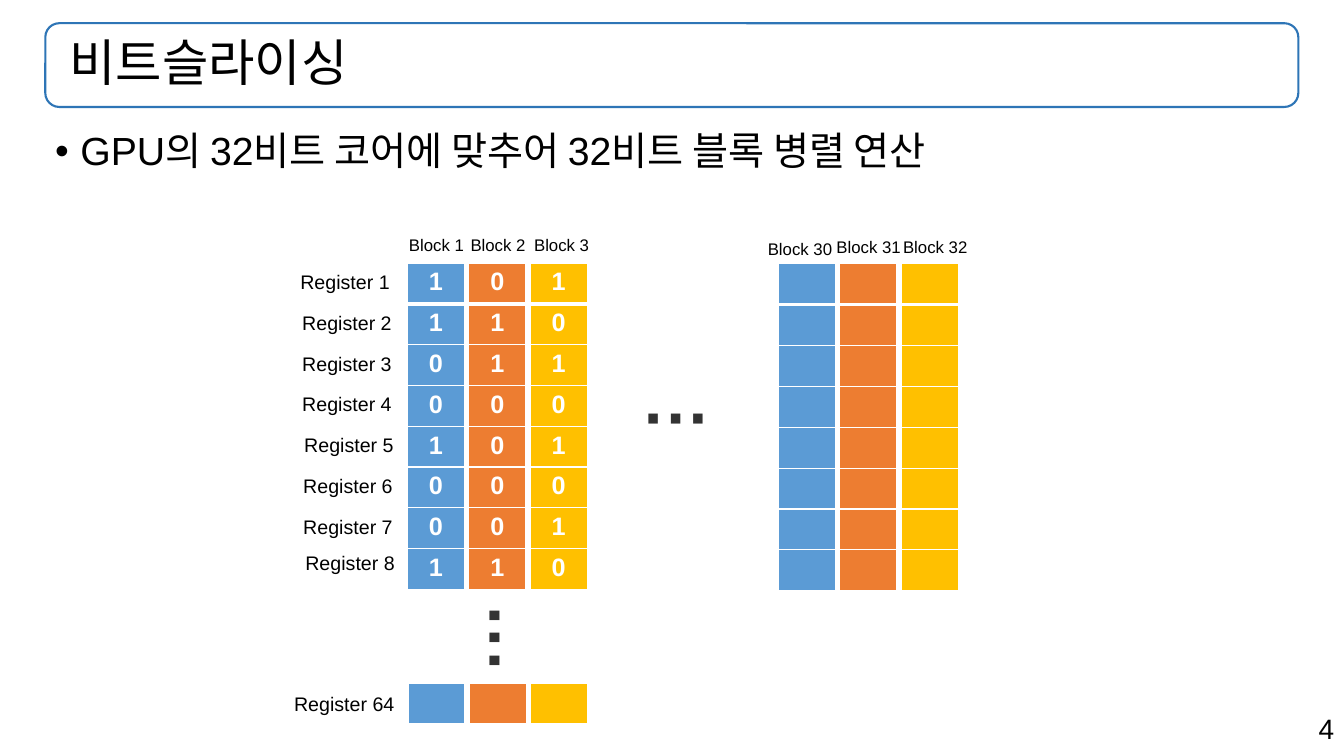
from lxml import etree
from pptx import Presentation
from pptx.dml.color import RGBColor
from pptx.enum.shapes import MSO_SHAPE
from pptx.enum.text import MSO_ANCHOR, MSO_AUTO_SIZE, PP_ALIGN
from pptx.oxml.ns import qn
from pptx.util import Pt

ROUNDED = MSO_SHAPE.ROUNDED_RECTANGLE
LEFT, CENTER, RIGHT = PP_ALIGN.LEFT, PP_ALIGN.CENTER, PP_ALIGN.RIGHT
MIDDLE = MSO_ANCHOR.MIDDLE
FIT_SHAPE, NO_FIT = MSO_AUTO_SIZE.SHAPE_TO_FIT_TEXT, MSO_AUTO_SIZE.NONE
TITLE_ONLY = 5

FONT = "Arial"
BLACK, WHITE, DOTS, FRAME = "000000", "FFFFFF", "333333", "2E75B6"
BLOCK_COLORS = ["5B9BD5", "ED7D31", "FFC000"]
BLOCK_BITS = ["11001001", "01100001", "10101010"]
REGISTERS = 8
COLUMN_WIDTH, ROW_HEIGHT, COLUMN_PITCH = 40.8, 29.16, 43.9
TABLE_TOP, LAST_ROW_TOP = 187.9, 488.2
TITLE_BOX = (32.4, 16.6, 895, 59.8)
BLOCK_LABELS = [
    ("Block 1", 285, 164, 60), ("Block 2", 329, 164, 60), ("Block 3", 374.4, 164, 60),
    ("Block 30", 541.4, 167, 72), ("Block 31", 590.4, 165.6, 72), ("Block 32", 638, 165.6, 64),
]
REGISTER_LEFTS = [207.4, 208.8, 208.8, 208.8, 210.2, 209.5, 209.5, 211]


def rgb(color):
    return RGBColor.from_string(color)


def write_text(paragraph, text, size=14, color=BLACK, bold=False, align=LEFT, spacing=None):
    paragraph.alignment = align
    if spacing:
        paragraph.line_spacing = spacing
    run = paragraph.add_run()
    run.text = text
    font = run.font
    font.name, font.size, font.bold = FONT, Pt(size), bold
    font.color.rgb = rgb(color)


def add_text(slide, text, left, top, width, height, wrap=True, fit=FIT_SHAPE, rotation=0, **text_format):
    shape = slide.shapes.add_textbox(Pt(left), Pt(top), Pt(width), Pt(height))
    shape.rotation = rotation
    shape.text_frame.word_wrap = wrap
    shape.text_frame.auto_size = fit
    paragraph = shape.text_frame.paragraphs[0]
    write_text(paragraph, text, **text_format)
    return paragraph


def add_bullet(paragraph, indent):
    properties = paragraph._p.get_or_add_pPr()
    properties.set("marL", str(Pt(indent)))
    properties.set("indent", str(-Pt(indent)))
    etree.SubElement(properties, qn("a:buFont"), typeface=FONT)
    etree.SubElement(properties, qn("a:buChar"), char="•")


def add_borders(cell, bottom_width):
    properties = cell._tc.get_or_add_tcPr()
    widths = {"a:lnL": 1, "a:lnR": 1, "a:lnT": 1, "a:lnB": bottom_width}
    for position, (tag, width) in enumerate(widths.items()):
        line = etree.Element(qn(tag), w=str(Pt(width)))
        fill = etree.SubElement(line, qn("a:solidFill"))
        etree.SubElement(fill, qn("a:srgbClr"), val=WHITE)
        properties.insert(position, line)


def add_column(slide, left, top, color, rows, bits=""):
    frame = slide.shapes.add_table(rows, 1, Pt(left), Pt(top), Pt(COLUMN_WIDTH), Pt(ROW_HEIGHT * rows))
    table = frame.table
    table.first_row = table.horz_banding = False
    for index, row in enumerate(table.rows):
        row.height = Pt(ROW_HEIGHT)
        cell = row.cells[0]
        cell.fill.solid()
        cell.fill.fore_color.rgb = rgb(color)
        add_borders(cell, 1 if index else 3)
        if bits:
            write_text(cell.text_frame.paragraphs[0], bits[index],
                       size=18, color=WHITE, bold=True, align=CENTER)


def add_title(slide, text):
    left, top, width, height = map(Pt, TITLE_BOX)
    frame = slide.shapes.add_shape(ROUNDED, left, top, width, height)
    frame.shadow.inherit = False
    frame.fill.background()
    frame.line.color.rgb = rgb(FRAME)
    frame.line.width = Pt(1.5)
    title = slide.shapes.title
    title.left, title.top, title.width, title.height = left, top, width, height
    title.text_frame.auto_size = NO_FIT
    title.text_frame.vertical_anchor = MIDDLE
    title.text_frame.margin_left = Pt(17.2)
    write_text(title.text_frame.paragraphs[0], text, size=36, spacing=0.9)


def add_block_group(slide, left, top, rows, bits=("", "", "")):
    for index, color in enumerate(BLOCK_COLORS):
        add_column(slide, left + index * COLUMN_PITCH, top, color, rows, bits[index])


def main():
    presentation = Presentation()
    presentation.slide_width, presentation.slide_height = Pt(960), Pt(540)
    slide = presentation.slides.add_slide(presentation.slide_layouts[TITLE_ONLY])

    add_title(slide, "비트슬라이싱")
    message = add_text(slide, "GPU의 32비트 코어에 맞추어 32비트 블록 병렬 연산",
                       32.4, 90.7, 895, 441.4, fit=NO_FIT, size=28, spacing=0.9)
    add_bullet(message, 18)

    add_block_group(slide, 290.9, TABLE_TOP, REGISTERS, BLOCK_BITS)
    add_block_group(slide, 555.8, TABLE_TOP + 0.5, REGISTERS)
    add_block_group(slide, 291.4, LAST_ROW_TOP, 1)

    for text, left, top, width in BLOCK_LABELS:
        add_text(slide, text, left, top, width, 21.8, size=12)
    for index, left in enumerate(REGISTER_LEFTS):
        top = min(189.5 + index * 29.07, 390.2)
        add_text(slide, f"Register {index + 1}", left, top, 78.5, 24.2, wrap=False)
    add_text(slide, "Register 64", 203, 490.5, 86.4, 24.2, wrap=False)

    for left, top, rotation in [(452.9, 263.5, 0), (320.4, 429.1, 90)]:
        add_text(slide, "···", left, top, 71.3, 65.5, rotation=rotation, size=48, color=DOTS, bold=True)
    add_text(slide, "4", 679, 504.7, 281, 31.5, size=20, align=RIGHT)

    presentation.save("out.pptx")


if __name__ == "__main__":
    main()
